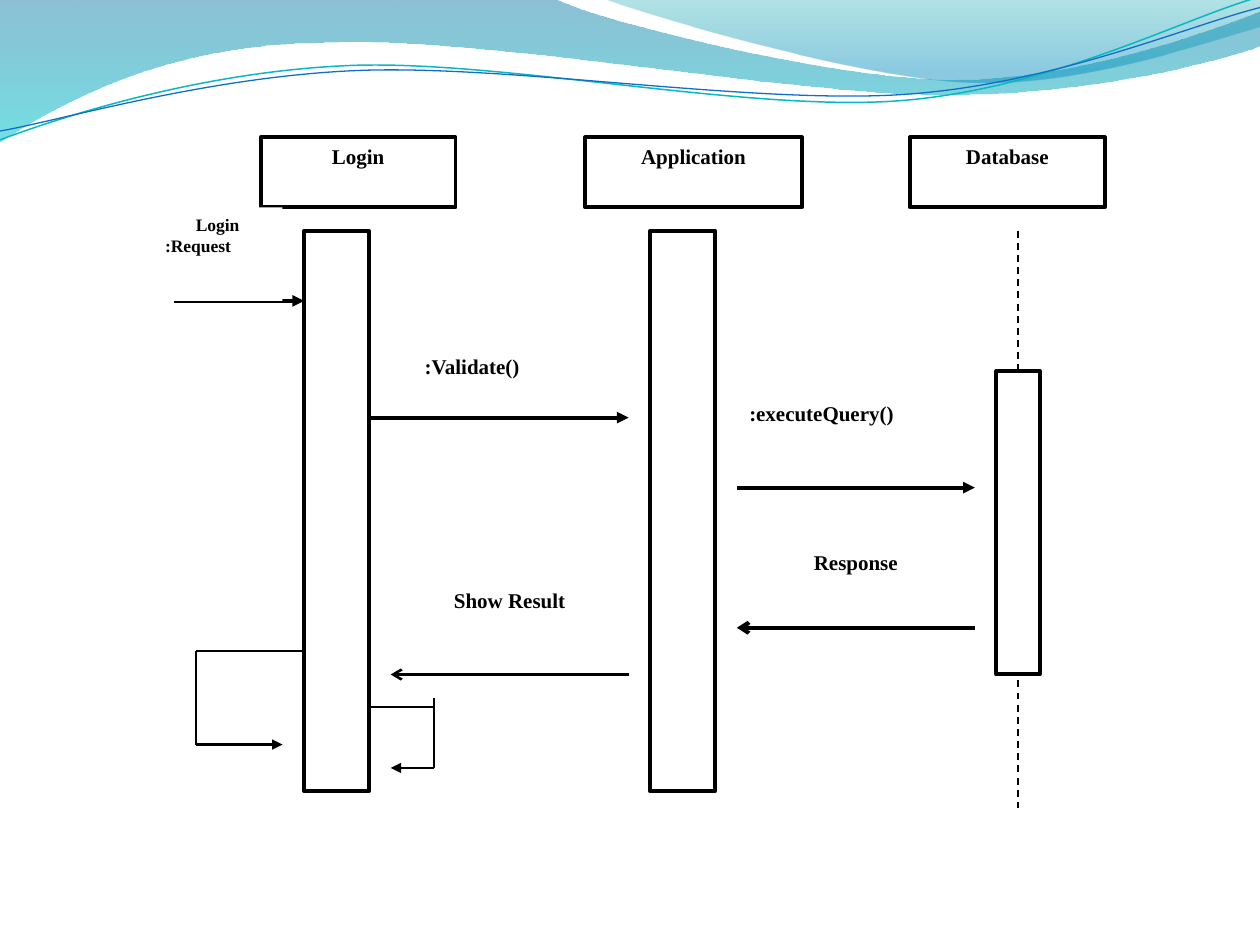
from math import cos, radians, sin

from lxml import etree
from pptx import Presentation
from pptx.dml.color import RGBColor
from pptx.enum.dml import MSO_LINE
from pptx.enum.shapes import MSO_CONNECTOR, MSO_SHAPE
from pptx.enum.text import MSO_ANCHOR, PP_ALIGN
from pptx.oxml.ns import qn
from pptx.util import Inches, Pt

RECT, STRAIGHT = MSO_SHAPE.RECTANGLE, MSO_CONNECTOR.STRAIGHT
TOP, DASH = MSO_ANCHOR.TOP, MSO_LINE.DASH
LEFT, CENTER = PP_ALIGN.LEFT, PP_ALIGN.CENTER

BLACK = RGBColor(0x00, 0x00, 0x00)
WHITE = RGBColor(0xFF, 0xFF, 0xFF)
TEAL = RGBColor(0x0A, 0xB8, 0xBF)
BLUE = RGBColor(0x0F, 0x6F, 0xC6)
DEEP_BLUE = RGBColor(0x00, 0x74, 0xA1)
CYAN = RGBColor(0x00, 0xC6, 0xCF)
SEA_GREEN = RGBColor(0x00, 0xA1, 0xA9)
SKY_BLUE = RGBColor(0x00, 0x8B, 0xBF)

FONT = "Times New Roman"
LEFT_EDGE, TOP_ROW = 0.01, 1.09  # diagram grid, in inches
COL = 6.01 / 35
ROW = 5.19 / 28
TILT = -2.7
CURVE_CENTER = (4.99, 0.58)

# Each path is a list of segments: one point for a line, three for a Bezier curve.
LEFT_WAVE = [
    [(0, -0.01)], [(4.4, -0.01)],
    [(4.76, 0.17), (6.64, 0.63), (7.58, 0.63)],
    [(8.53, 0.63), (9.58, 0.26), (10, 0.09)],
    [(10.01, 0.36)],
    [(9.83, 0.44), (8.7, 0.76), (7.46, 0.75)],
    [(6.22, 0.75), (3.82, 0.28), (2.57, 0.34)],
    [(1.29, 0.35), (0.46, 0.83), (-0.01, 1.13)],
    [(0, -0.01)],
]
RIGHT_WAVE = [
    [(4.79, -0.01)],
    [(5.09, 0.11), (6.82, 0.62), (7.69, 0.65)],
    [(8.56, 0.69), (9.61, 0.32), (10, 0.21)],
    [(10, 0)],
    [(4.79, -0.01)],
]
TEAL_CURVE = [
    [(0, 1.11)],
    [(0.48, 0.93), (1.58, 0.57), (2.77, 0.52)],
    [(3.95, 0.47), (5.93, 0.89), (7.13, 0.8)],
    [(8.33, 0.71), (9.38, 0.15), (9.98, -0.02)],
]
BLUE_CURVE = [
    [(0, 1.04)],
    [(0.47, 0.96), (1.64, 0.61), (2.83, 0.56)],
    [(4.03, 0.51), (5.97, 0.83), (7.17, 0.75)],
    [(8.36, 0.67), (9.41, 0.21), (10, 0.06)],
]

# column, row, columns wide, rows high
HEADERS = [("Login", 12, 9), ("Application", 27, 10), ("Database", 42, 9)]
LONG_ACTIVATIONS = [(14, 4, 3, 24), (30, 4, 3, 24)]
DATABASE_ACTIVATION = (46, 10, 2, 13)
LABELS = [
    (":Validate()", LEFT, (19, 9, 8, 2)),
    (":executeQuery()", LEFT, (34, 11, 11, 3)),
    ("Response", CENTER, (35, 17.4, 9, 3)),
    ("Show Result", CENTER, (18, 19, 11, 3)),
]
# from (column, row), to (column, row), width, arrowhead element, arrowhead type
MESSAGES = [
    ((8, 7), (14, 7), 2.25, "tailEnd", "triangle"),
    ((17, 12), (29, 12), 2.25, "tailEnd", "triangle"),
    ((34, 15), (45, 15), 2.25, "tailEnd", "triangle"),
    ((34, 21), (45, 21), 2.25, "headEnd", "arrow"),
    ((18, 23), (29, 23), 1.5, "headEnd", "arrow"),
    ((17, 24.4), (20, 24.4), 1, None, None),
    ((20, 24), (20, 27), 1, None, None),
    ((20, 27), (18, 27), 0.75, "tailEnd", "triangle"),
    ((14, 22), (9, 22), 1, None, None),
    ((9, 22), (9, 26), 1, None, None),
    ((9, 26), (13, 26), 1.5, "tailEnd", "triangle"),
]


def x_at(col):
    return Inches(LEFT_EDGE + col * COL)


def y_at(row):
    return Inches(TOP_ROW + row * ROW)


def level(point):
    """Undo the tilt of a curve, so that its shape can carry the rotation."""
    (cx, cy), angle = CURVE_CENTER, radians(-TILT)
    dx, dy = point[0] - cx, point[1] - cy
    return (cx + dx * cos(angle) - dy * sin(angle),
            cy + dx * sin(angle) + dy * cos(angle))


def add_path(shapes, path, close):
    points = [(Inches(x), Inches(y)) for segment in path for x, y in segment]
    builder = shapes.build_freeform(*points[0], scale=1.0)
    builder.add_line_segments(points[1:], close=close)
    sp = builder.convert_to_shape()
    sp.shadow.inherit = False
    # Join each run of three points into one cubic segment.
    steps = iter(list(sp._element.iter(qn("a:lnTo"))))
    for segment in path[1:]:
        first, *others = [next(steps) for _ in segment]
        if others:
            first.tag = qn("a:cubicBezTo")
            for step in others:
                first.append(step[0])
                step.getparent().remove(step)
    return sp


def add_wave(shapes, path, stops):
    """Add a closed wave; stops are (position %, colour, opacity %), top to bottom."""
    sp = add_path(shapes, path, True)
    sp.line.fill.background()
    sp.fill.background()
    no_fill = sp._element.spPr.find(qn("a:noFill"))
    grad = etree.Element(qn("a:gradFill"), rotWithShape="1")
    gs_list = etree.SubElement(grad, qn("a:gsLst"))
    for position, color, opacity in stops:
        gs = etree.SubElement(gs_list, qn("a:gs"), pos=str(position * 1000))
        clr = etree.SubElement(gs, qn("a:srgbClr"), val=str(color))
        etree.SubElement(clr, qn("a:alpha"), val=str(opacity * 1000))
    etree.SubElement(grad, qn("a:lin"), ang="5400000", scaled="0")
    sp._element.spPr.replace(no_fill, grad)


def add_curve(shapes, path, color, width):
    sp = add_path(shapes, [[level(p) for p in segment] for segment in path], False)
    sp.rotation = TILT
    sp.fill.background()
    sp.line.color.rgb = color
    sp.line.width = Pt(width)


def add_box(shapes, cell, lines=(), outlined=True, size=12):
    """Add a white box on the grid; lines are (text, alignment) pairs."""
    col, row, cols, rows = cell
    sp = shapes.add_shape(RECT, x_at(col), y_at(row),
                          Inches(cols * COL), Inches(rows * ROW))
    sp.shadow.inherit = False
    sp.fill.solid()
    sp.fill.fore_color.rgb = WHITE
    if outlined:
        sp.line.color.rgb = BLACK
        sp.line.width = Pt(2.25)
    else:
        sp.line.fill.background()
    tf = sp.text_frame
    tf.vertical_anchor = TOP
    for i, (text, alignment) in enumerate(lines):
        p = tf.paragraphs[0] if i == 0 else tf.add_paragraph()
        p.text = text
        p.alignment = alignment
        p.font.name, p.font.size, p.font.bold = FONT, Pt(size), True
        p.font.color.rgb = BLACK


def add_line(shapes, start, end, width, head=None, head_type=None, dash=None):
    line = shapes.add_connector(STRAIGHT, x_at(start[0]), y_at(start[1]),
                                x_at(end[0]), y_at(end[1]))
    line.line.color.rgb = BLACK
    line.line.width = Pt(width)
    if dash:
        line.line.dash_style = dash
    if head:
        etree.SubElement(line.line._get_or_add_ln(), qn(f"a:{head}"), type=head_type)
    etree.SubElement(line._element.spPr, qn("a:effectLst"))


def main():
    prs = Presentation()
    prs.slide_width, prs.slide_height = Inches(10), Inches(7.5)
    s = prs.slides.add_slide(prs.slide_layouts[6])

    add_wave(s.shapes, LEFT_WAVE, [(0, DEEP_BLUE, 45), (100, CYAN, 55)])
    add_wave(s.shapes, RIGHT_WAVE, [(0, SEA_GREEN, 30), (80, SKY_BLUE, 45)])
    curves = s.shapes.add_group_shape().shapes
    add_curve(curves, TEAL_CURVE, TEAL, 0.85)
    add_curve(curves, BLUE_CURVE, BLUE, 0.75)

    diagram = s.shapes.add_group_shape().shapes
    for text, col, cols in HEADERS:
        add_box(diagram, (col, 0, cols, 3), [(text, CENTER)])
    for cell in LONG_ACTIVATIONS:
        add_box(diagram, cell)
    add_line(diagram, (47, 4), (47, 28.7), 1, dash=DASH)
    add_box(diagram, DATABASE_ACTIVATION)
    for message in MESSAGES:
        add_line(diagram, *message)
    add_box(diagram, (7, 3, 6, 4), [("Login", CENTER), (":Request", LEFT)],
            outlined=False, size=10)
    for text, alignment, cell in LABELS:
        add_box(diagram, cell, [(text, alignment)], outlined=False)

    prs.save("out.pptx")


if __name__ == "__main__":
    main()
